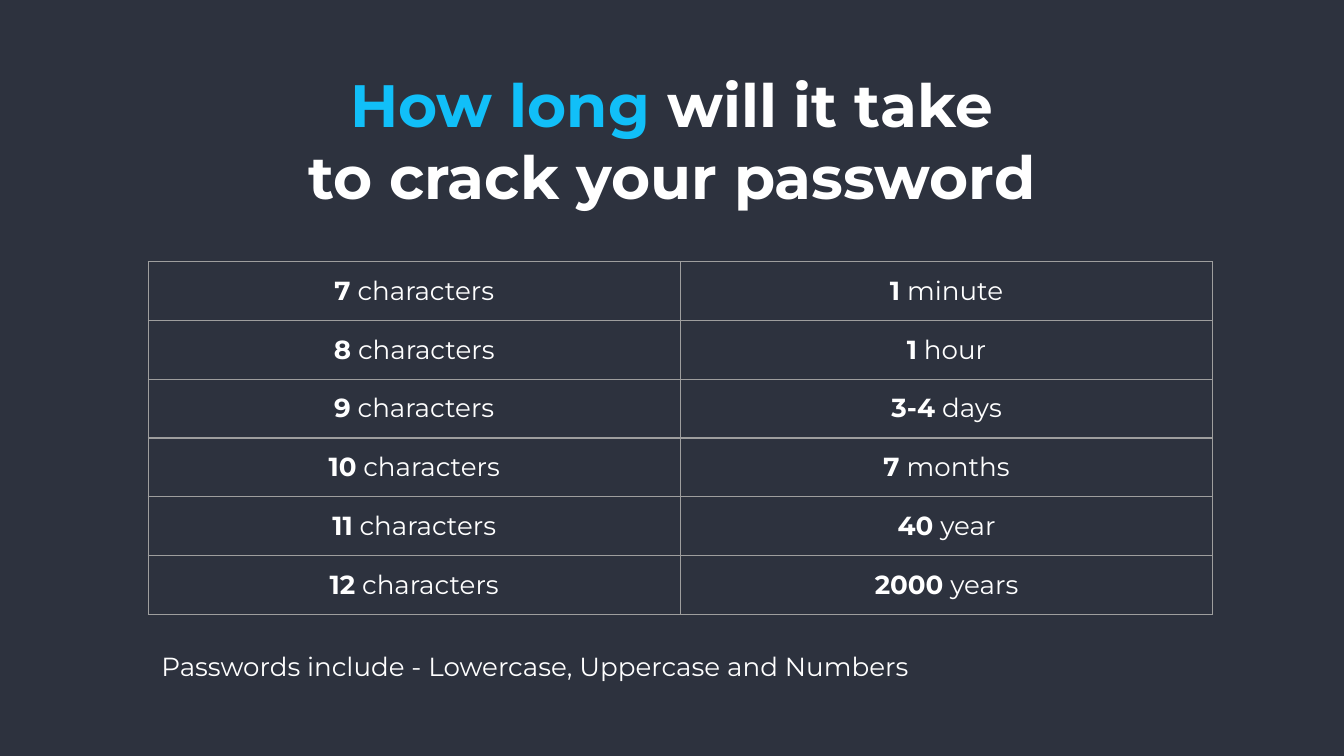
from lxml import etree
from pptx import Presentation
from pptx import util as u
from pptx.dml.color import RGBColor
from pptx.enum import shapes, text
from pptx.oxml import ns

COLORS = {"night": "2D323E", "white": "FFFFFF", "cyan": "11BFF8", "rule": "9E9E9E"}
FONT = "Montserrat"
INSET = u.Cm(0.25)
CRACK_TIMES = [
    (("7", " characters"), ("1", " minute")),
    (("8", " characters"), ("1", " hour")),
    (("9", " characters"), ("3-4", " days")),
    (("10", " characters"), ("7", " months")),
    (("11", " characters"), ("40", " year")),
    (("12", " characters"), ("2000", " years")),
]


def rgb(name):
    return RGBColor.from_string(COLORS[name])


def add_run(paragraph, content, size=14, color="white", bold=False):
    run = paragraph.add_run()
    run.text = content
    run.font.name = FONT
    run.font.size = u.Pt(size)
    run.font.bold = bold
    run.font.color.rgb = rgb(color)


def set_insets(holder):
    """Give a text frame or table cell the same margin on every side."""
    holder.margin_left = holder.margin_right = INSET
    holder.margin_top = holder.margin_bottom = INSET


def set_borders(cell, color, width):
    properties = cell._tc.get_or_add_tcPr()
    for side in ("a:lnL", "a:lnR", "a:lnT", "a:lnB"):
        line = etree.SubElement(properties, ns.qn(side), w=str(u.Pt(width)))
        fill = etree.SubElement(line, ns.qn("a:solidFill"))
        etree.SubElement(fill, ns.qn("a:srgbClr"), val=COLORS[color])


class Deck:
    def __init__(self, width, height):
        self.presentation = Presentation()
        self.presentation.slide_width = u.Cm(width)
        self.presentation.slide_height = u.Cm(height)
        self.slide = self.presentation.slides.add_slide(
            self.presentation.slide_layouts.get_by_name("Title Only"))

    def backdrop(self, color):
        """Cover the slide with a rectangle behind everything else."""
        panel = self.slide.shapes.add_shape(
            shapes.MSO_SHAPE.RECTANGLE, 0, 0,
            self.presentation.slide_width, self.presentation.slide_height)
        panel.shadow.inherit = False
        panel.fill.solid()
        panel.fill.fore_color.rgb = rgb(color)
        panel.line.fill.background()
        self.slide.shapes._spTree.insert(2, panel._element)

    def title(self, top, height, lines):
        heading = self.slide.shapes.title
        heading.left, heading.top = 0, u.Cm(top)
        heading.width, heading.height = self.presentation.slide_width, u.Cm(height)
        frame = heading.text_frame
        set_insets(frame)
        frame.word_wrap = True
        frame.auto_size = text.MSO_AUTO_SIZE.NONE
        frame.vertical_anchor = text.MSO_ANCHOR.TOP
        for index, line in enumerate(lines):
            paragraph = frame.add_paragraph() if index else frame.paragraphs[0]
            paragraph.alignment = text.PP_ALIGN.CENTER
            paragraph.space_before = u.Pt(0)
            for content, color in line:
                add_run(paragraph, content, size=32, color=color, bold=True)

    def table(self, left, top, column_width, row_height, rows):
        table = self.slide.shapes.add_table(
            len(rows), len(rows[0]), u.Cm(left), u.Cm(top),
            u.Cm(column_width * len(rows[0])), u.Cm(row_height * len(rows))).table
        table.first_row = table.horz_banding = False
        for row, entries in zip(table.rows, rows):
            for cell, (amount, unit) in zip(row.cells, entries):
                set_insets(cell)
                set_borders(cell, "rule", 0.75)
                cell.fill.background()
                paragraph = cell.text_frame.paragraphs[0]
                paragraph.alignment = text.PP_ALIGN.CENTER
                add_run(paragraph, amount, bold=True)
                add_run(paragraph, unit)

    def note(self, left, top, width, height, content):
        frame = self.slide.shapes.add_textbox(
            u.Cm(left), u.Cm(top), u.Cm(width), u.Cm(height)).text_frame
        set_insets(frame)
        frame.word_wrap = True
        add_run(frame.paragraphs[0], content)


def main():
    deck = Deck(25.4, 14.29)
    deck.backdrop("night")
    deck.table(2.8, 4.95, 10.06, 1.11, CRACK_TIMES)
    deck.note(2.8, 12.04, 15.93, 1.11,
              "Passwords include - Lowercase, Uppercase and Numbers")
    deck.title(1.04, 3.25, [
        [("How long", "cyan"), (" will it take", "white")],
        [("to crack your password", "white")],
    ])
    deck.presentation.save("out.pptx")


if __name__ == "__main__":
    main()
